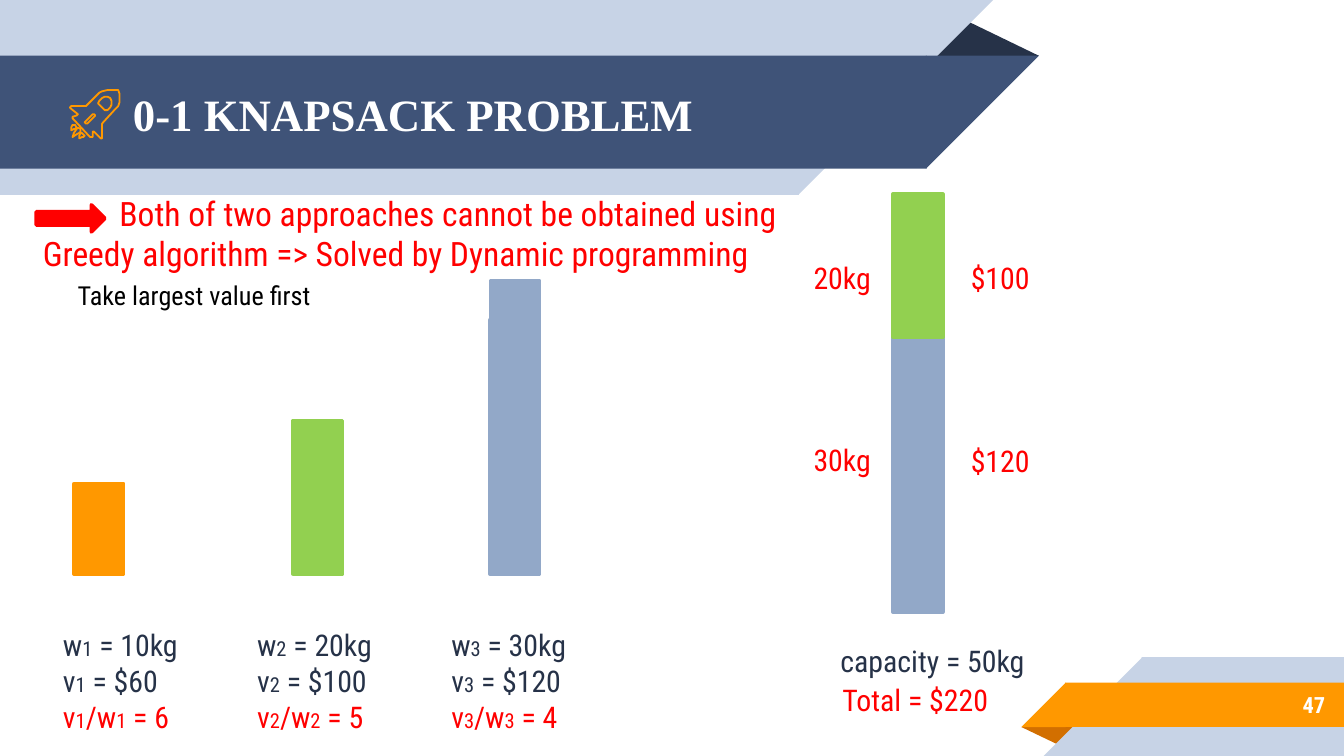
from pptx import Presentation
from pptx.dml.color import RGBColor
from pptx.enum.shapes import MSO_SHAPE
from pptx.enum.text import MSO_ANCHOR, MSO_AUTO_SIZE, PP_ALIGN
from pptx.util import Pt

PX = 4572  # EMU per px, 200 px to the inch
RECTANGLE = MSO_SHAPE.RECTANGLE
TRIANGLE = MSO_SHAPE.ISOSCELES_TRIANGLE
CORNER = MSO_SHAPE.RIGHT_TRIANGLE
ARROW = MSO_SHAPE.RIGHT_ARROW
TOP, MIDDLE = MSO_ANCHOR.TOP, MSO_ANCHOR.MIDDLE
LEFT, RIGHT = PP_ALIGN.LEFT, PP_ALIGN.RIGHT
NO_FIT = MSO_AUTO_SIZE.NONE

THEME = {
    "white": "FFFFFF", "black": "000000", "navy": "263248", "band": "3F5378",
    "pale": "C7D3E6", "steel": "92A8C8", "orange": "FF9800", "rust": "D26F00",
    "green": "92D050", "red": "FF0000", "outline": "131924",
    "body_font": "Roboto Condensed", "title_font": "Times New Roman",
    "title": 24, "message": 18, "label": 16, "note": 14, "page": 12, "index": 11,
}


def add_block(kind, box, fill, line=None, width=2, rotation=0):
    shape = slide.shapes.add_shape(kind, *(value * PX for value in box))
    shape.shadow.inherit = False
    shape.rotation = rotation
    shape.fill.solid()
    shape.fill.fore_color.rgb = RGBColor.from_string(THEME[fill])
    if line:
        shape.line.color.rgb = RGBColor.from_string(THEME[line])
        shape.line.width = Pt(width)
    else:
        shape.line.fill.background()
    return shape


def add_text(box, lines, font="body_font", bold=False, wrap=True, anchor=TOP,
             align=LEFT, margin=10):
    """Each line is a colour and a list of (text, size) runs."""
    shape = slide.shapes.add_textbox(*(value * PX for value in box))
    frame = shape.text_frame
    frame_format = {
        "word_wrap": wrap, "auto_size": NO_FIT, "vertical_anchor": anchor,
        "margin_left": 20 * PX, "margin_right": 20 * PX,
        "margin_top": margin * PX, "margin_bottom": margin * PX,
    }
    for name, value in frame_format.items():
        setattr(frame, name, value)
    for number, (fill, runs) in enumerate(lines):
        paragraph = frame.add_paragraph() if number else frame.paragraphs[0]
        paragraph.alignment = align
        for text, size in runs:
            run = paragraph.add_run()
            run.text = text
            font_format = {"name": THEME[font], "size": Pt(THEME[size]), "bold": bold}
            for name, value in font_format.items():
                setattr(run.font, name, value)
            run.font.color.rgb = RGBColor.from_string(THEME[fill])
    return shape


presentation = Presentation()
presentation.slide_width = 2000 * PX
presentation.slide_height = 1125 * PX
slide = presentation.slides.add_slide(presentation.slide_layouts[6])

# Header and footer ribbons
header_fold = add_block(TRIANGLE, (1376, 27, 170, 56), "navy")
add_block(RECTANGLE, (0, 0, 1189, 290), "pale")
add_block(CORNER, (1188, 0, 290, 290), "pale", rotation=90)
add_block(RECTANGLE, (0, 83, 1379, 168), "band")
add_block(CORNER, (1378, 83, 168, 168), "band", rotation=90)
footer_fold = add_block(TRIANGLE, (1520, 1082, 86, 28), "rust", rotation=180)
add_block(RECTANGLE, (1699, 978, 301, 147), "pale")
add_block(CORNER, (1553, 978, 147, 147), "pale", rotation=270)
add_block(RECTANGLE, (1585, 1016, 415, 66), "orange")
add_block(CORNER, (1520, 1016, 66, 66), "orange", rotation=270)
for fold in (header_fold, footer_fold):
    fold.adjustments[0] = 0.32

# Title and page number
add_text((178, 85, 1238, 168), [("white", [("0-1 KNAPSACK PROBLEM", "title")])],
         font="title_font", bold=True, anchor=MIDDLE, margin=20)
add_text((1666, 1014, 326, 70), [("white", [("47", "page")])],
         bold=True, anchor=MIDDLE, align=RIGHT, margin=20)

# Rocket icon: body with slot and window, then three flames
rocket_body = [
    [(152, 204), (152, 184), (172, 162), (176, 158), (178, 152), (178, 140),
     (176, 134), (172, 134), (160, 134), (152, 136), (148, 138), (128, 158),
     (106, 158), (104, 160), (106, 162), (116, 170), (114, 172), (108, 174),
     (108, 176), (134, 204), (138, 204), (138, 196), (140, 196), (150, 206),
     (152, 206)],
    [(130, 184), (128, 184), (126, 182), (128, 180), (138, 170), (140, 170),
     (142, 172), (140, 174)],
    [(160, 164), (156, 164), (148, 156), (146, 154), (148, 150), (152, 146),
     (156, 144), (160, 144), (164, 146), (166, 150), (166, 156), (164, 160)],
]
rocket_flames = [
    [[(120, 192), (116, 190), (114, 192), (110, 198), (108, 204), (114, 200),
      (118, 198), (120, 196)]],
    [[(124, 200), (122, 198), (120, 198), (118, 202), (118, 206), (122, 204),
      (124, 204), (126, 202)]],
    [[(112, 186), (110, 186), (108, 186), (106, 190), (106, 194), (110, 192),
      (112, 192), (114, 190)]],
]
for contours in [rocket_body, *rocket_flames]:
    builder = slide.shapes.build_freeform(*contours[0][0], scale=PX)
    for contour in contours:
        builder.move_to(*contour[0])
        builder.add_line_segments(contour[1:], close=True)
    outline = builder.convert_to_shape()
    outline.shadow.inherit = False
    outline.fill.background()
    outline.line.color.rgb = RGBColor.from_string(THEME["orange"])
    outline.line.width = Pt(0.96)

# Knapsack and its labels
add_block(RECTANGLE, (1329, 289, 74, 621), "white", "outline", 0.25)
knapsack_labels = [
    ((1231, 947, 318, 74), "capacity = 50kg", "navy"),
    ((1234, 1004, 262, 74), "Total = $220", "red"),
    ((1191, 377, 126, 74), "20kg", "red"),
    ((1191, 648, 126, 74), "30kg", "red"),
    ((1425, 649, 128, 74), "$120", "red"),
    ((1425, 377, 128, 74), "$100", "red"),
]
for box, text, fill in knapsack_labels:
    add_text(box, [(fill, [(text, "label")])], wrap=False)

# Message, its first line indented past the arrow
message = add_text((44, 277, 1196, 142), [("red", [(
    "Both of two approaches cannot be obtained using Greedy algorithm => "
    "Solved by Dynamic programming", "message")])])
properties = message.text_frame.paragraphs[0]._p.get_or_add_pPr()
properties.set("marL", "0")
properties.set("indent", str(114 * PX))

# Item bars, knapsack contents and arrow
bars = [
    ((436, 626, 74, 228), "green"),
    ((110, 720, 74, 134), "orange"),
    ((729, 476, 74, 378), "steel"),
    ((730, 418, 73, 435), "steel"),
    ((1329, 502, 74, 409), "steel"),
]
for box, fill in bars:
    add_block(RECTANGLE, box, fill, fill)
add_block(ARROW, (54, 305, 102, 40), "red", "red")

# Weight, value and ratio of each item
items = [("10kg", "$60", "6"), ("20kg", "$100", "5"), ("30kg", "$120", "4")]
for column, (weight, value, ratio) in enumerate(items):
    index = (str(column + 1), "index")
    add_text((74 + 289 * column, 923, 220, 182), [
        ("navy", [("w", "label"), index, (f" = {weight}", "label")]),
        ("navy", [("v", "label"), index, (f" = {value}", "label")]),
        ("red", [("v", "label"), index, ("/w", "label"), index,
                 (f" = {ratio}", "label")]),
    ], wrap=False)

# Second item in the knapsack and strategy note
add_block(RECTANGLE, (1329, 289, 74, 213), "green", "green")
add_text((96, 406, 554, 70), [("black", [("Take largest value first", "note")])])

presentation.save("out.pptx")
